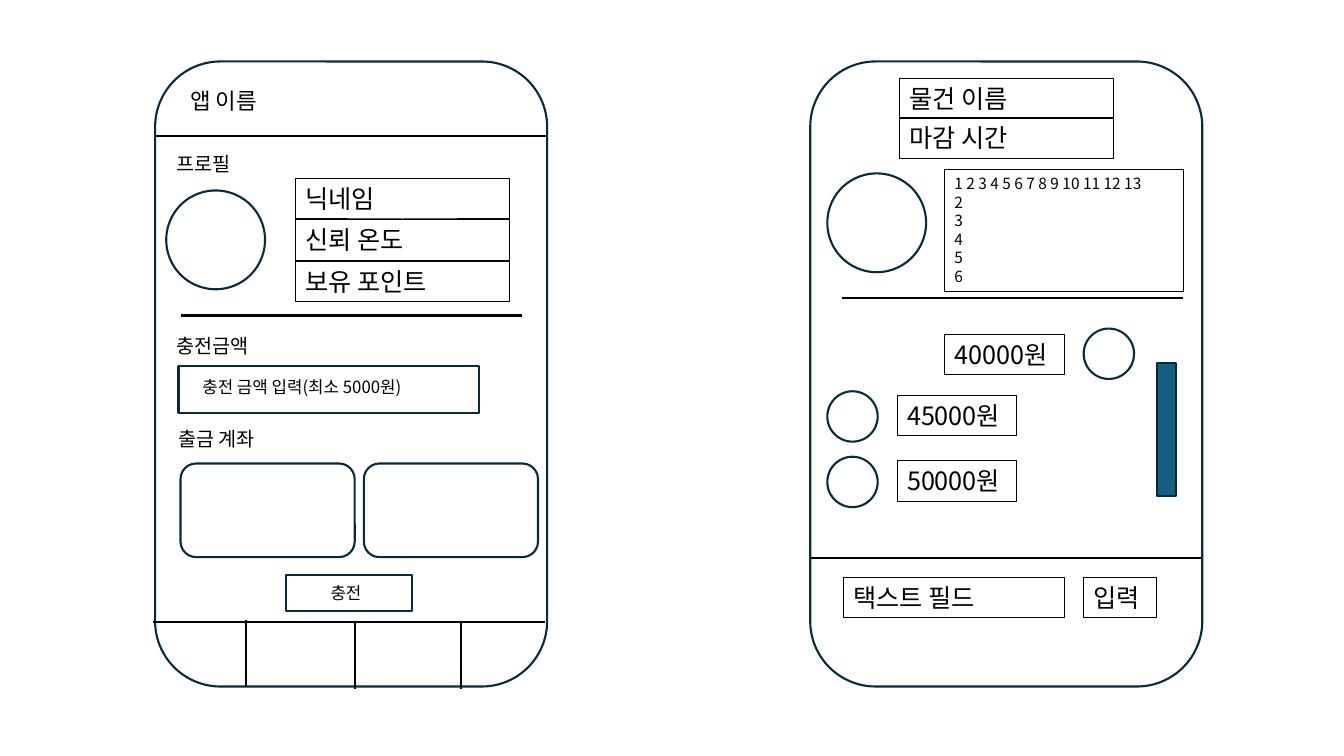
from dataclasses import dataclass

from lxml.etree import SubElement
from pptx import Presentation
from pptx.dml.color import RGBColor
from pptx.enum.shapes import MSO_CONNECTOR, MSO_SHAPE
from pptx.enum.text import MSO_ANCHOR, MSO_AUTO_SIZE, PP_ALIGN
from pptx.oxml.ns import qn
from pptx.util import Cm, Pt

FONT = "Noto Sans CJK KR"
COLOURS = {"outline": "092A39", "ink": "000000", "paper": "FFFFFF", "scrollbar": "156082"}

PHONE_TOP, PHONE_WIDTH, PHONE_HEIGHT = 1.55, 9.88, 15.75
PROFILE_LEFT, AUCTION_LEFT = 3.91, 20.42
FIELD_HEIGHT = 1.02
AVATAR, BIDDER = 2.49, 1.27


@dataclass
class Outline:
    left: float
    top: float
    width: float
    height: float
    kind: MSO_SHAPE = MSO_SHAPE.RECTANGLE
    fill: str | None = None


@dataclass
class Field:
    left: float
    top: float
    width: float
    text: str
    height: float = FIELD_HEIGHT
    size: float = 18


@dataclass
class Label:
    left: float
    top: float
    width: float
    height: float
    text: str
    size: float
    wrap: bool = True


@dataclass
class Rule:
    left: float
    top: float
    right: float
    bottom: float


def circle(left: float, top: float, diameter: float) -> Outline:
    return Outline(left, top, diameter, diameter, MSO_SHAPE.OVAL, "paper")


def phone(left: float) -> Outline:
    return Outline(left, PHONE_TOP, PHONE_WIDTH, PHONE_HEIGHT, MSO_SHAPE.ROUNDED_RECTANGLE)


def level(left: float, top: float, length: float) -> Rule:
    return Rule(left, top, left + length, top)


PROFILE_SCREEN = [
    phone(PROFILE_LEFT),
    level(PROFILE_LEFT, 3.43, PHONE_WIDTH),
    Label(4.55, 2.06, 2.41, 0.94, "앱 이름", 16, wrap=False),
    Label(4.19, 8.28, 4.88, 0.86, "충전금액", 14),
    Outline(4.5, 9.22, 7.57, 1.19),
    Label(4.85, 9.37, 5.87, 0.76, "충전 금액 입력(최소 5000원)", 12),
    Label(4.19, 3.71, 2.01, 0.86, "프로필", 14, wrap=False),
    circle(4.19, 4.8, AVATAR),
    *(Field(7.44, 4.5 + 1.04 * row, 5.41, text)
      for row, text in enumerate(["닉네임", "신뢰 온도", "보유 포인트"])),
    level(4.55, 7.95, 8.61),
    level(3.86, 15.67, PHONE_WIDTH),
    Rule(6.2, 15.62, 6.2, 17.3),
    *(Rule(left, 15.67, left, 17.35) for left in (8.94, 11.61)),
    Outline(7.21, 14.48, 3.18, 0.91),
    Label(8.08, 14.55, 1.52, 0.76, "충전", 12),
    Label(4.24, 10.64, 4.88, 0.86, "출금 계좌", 14),
    *(Outline(left, 11.68, 4.39, 2.36, MSO_SHAPE.ROUNDED_RECTANGLE) for left in (4.55, 9.17)),
]

AUCTION_SCREEN = [
    phone(AUCTION_LEFT),
    circle(20.85, 4.37, AVATAR),
    Field(22.66, 1.98, 5.41, "물건 이름"),
    Field(23.8, 4.27, 6.02, "1 2 3 4 5 6 7 8 9 10 11 12 13\n2\n3\n4\n5\n6", 3.07, 11),
    Field(22.66, 2.97, 5.41, "마감 시간"),
    level(21.21, 7.52, 8.61),
    Field(21.26, 14.55, 5.56, "택스트 필드"),
    Field(27.31, 14.55, 1.83, "입력"),
    Field(23.8, 8.43, 3.02, "40000원"),
    circle(27.31, 8.28, BIDDER),
    circle(20.85, 9.86, BIDDER),
    Field(22.61, 9.96, 3.02, "45000원"),
    circle(20.85, 11.51, BIDDER),
    Field(22.61, 11.61, 3.02, "50000원"),
    Outline(29.16, 9.14, 0.48, 3.35, fill="scrollbar"),
    level(AUCTION_LEFT, 14.05, PHONE_WIDTH),
]


def colour(name: str) -> RGBColor:
    return RGBColor.from_string(COLOURS[name])


def write_text(shape, text: str, *, size: float, wrap: bool = True) -> None:
    frame = shape.text_frame
    frame.word_wrap = wrap
    frame.auto_size = MSO_AUTO_SIZE.SHAPE_TO_FIT_TEXT
    frame.vertical_anchor = MSO_ANCHOR.TOP
    frame.text = text
    for paragraph in frame.paragraphs:
        paragraph.alignment = PP_ALIGN.LEFT
        for run in paragraph.runs:
            run.font.name = FONT
            run.font.size = Pt(size)
            run.font.color.rgb = colour("ink")
            SubElement(run.font._element, qn("a:ea"), typeface=FONT)


def draw_box(slide, item: Outline | Field, kind: MSO_SHAPE, fill: str | None,
             line: str, line_width: float):
    shape = slide.shapes.add_shape(
        kind, Cm(item.left), Cm(item.top), Cm(item.width), Cm(item.height))
    shape.shadow.inherit = False
    if fill:
        shape.fill.solid()
        shape.fill.fore_color.rgb = colour(fill)
    else:
        shape.fill.background()
    shape.line.color.rgb = colour(line)
    shape.line.width = Pt(line_width)
    return shape


def draw_label(slide, label: Label) -> None:
    box = slide.shapes.add_textbox(
        Cm(label.left), Cm(label.top), Cm(label.width), Cm(label.height))
    write_text(box, label.text, size=label.size, wrap=label.wrap)


def draw_rule(slide, rule: Rule) -> None:
    connector = slide.shapes.add_connector(
        MSO_CONNECTOR.STRAIGHT, Cm(rule.left), Cm(rule.top), Cm(rule.right), Cm(rule.bottom))
    connector.line.color.rgb = colour("ink")
    connector.line.width = Pt(1.5)
    SubElement(connector._element.spPr, qn("a:effectLst"))


def draw(slide, item: Outline | Field | Label | Rule) -> None:
    match item:
        case Outline():
            draw_box(slide, item, item.kind, item.fill, "outline", 1.5)
        case Field():
            box = draw_box(slide, item, MSO_SHAPE.RECTANGLE, None, "ink", 0.75)
            write_text(box, item.text, size=item.size)
        case Label():
            draw_label(slide, item)
        case Rule():
            draw_rule(slide, item)


def main() -> None:
    presentation = Presentation()
    presentation.slide_width = Cm(33.87)
    presentation.slide_height = Cm(19.05)
    blank_layout = presentation.slide_layouts[6]
    slide = presentation.slides.add_slide(blank_layout)
    for item in PROFILE_SCREEN + AUCTION_SCREEN:
        draw(slide, item)
    presentation.save("out.pptx")


if __name__ == "__main__":
    main()
